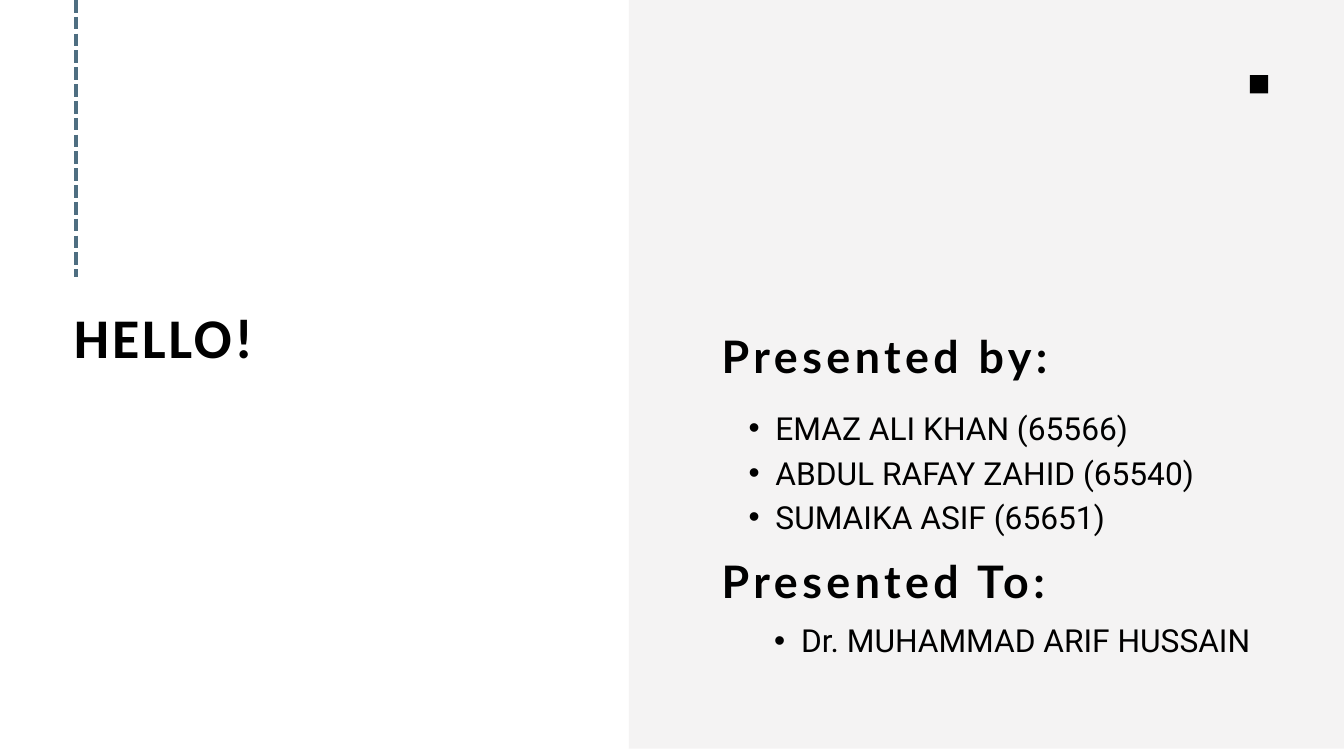
from lxml import etree
from pptx import Presentation
from pptx.dml.color import RGBColor
from pptx.enum.dml import MSO_LINE
from pptx.enum.shapes import MSO_CONNECTOR, MSO_SHAPE
from pptx.enum.text import MSO_AUTO_SIZE, PP_ALIGN
from pptx.oxml.ns import qn
from pptx.util import Inches, Pt

STRAIGHT = MSO_CONNECTOR.STRAIGHT
RECTANGLE = MSO_SHAPE.RECTANGLE
DASH = MSO_LINE.SQUARE_DOT
GROW = MSO_AUTO_SIZE.SHAPE_TO_FIT_TEXT
LEFT, CENTER = PP_ALIGN.LEFT, PP_ALIGN.CENTER

COLUMN_LEFT = 10.74

# (paragraphs, style, (left, top, width, height), alignment)
TEXTS = [
    (["HELLO!"], "title", (1.1, 4.34, 7.65, 1.18), LEFT),
    (["Presented by:"], "heading", (COLUMN_LEFT, 4.63, 9.51, 0.99), LEFT),
    (["EMAZ ALI KHAN (65566)", "ABDUL RAFAY ZAHID (65540)", "SUMAIKA ASIF (65651)"],
     "list", (COLUMN_LEFT, 5.99, 7.49, 1.95), LEFT),
    (["Presented To:"], "heading", (COLUMN_LEFT, 7.98, 9.51, 0.99), LEFT),
    (["Dr. MUHAMMAD ARIF HUSSAIN"], "list", (COLUMN_LEFT, 9.15, 8.25, 0.63), CENTER),
]

PANEL = (9.36, -0.11, 11.25, 11.25)
MARKER = (18.6, 1.12, 0.27, 0.27)
DASHED_LINE = (1.13, 0, 1.13, 4.12)

THEME = {
    "ink": "000000",
    "panel": "F2F1F1",
    "panel_opacity": 80,
    "accent": "4E6E81",
    "line_width": 4.5,
    "bullet_indent": (0.8, -0.4),
    "styles": {
        "title": {"font": "Calibri", "size": 60, "leading": 84, "bold": True, "tracking": 3},
        "heading": {"font": "Lato", "size": 48, "leading": 76.8, "bold": True, "tracking": 4.8},
        "list": {"font": "Roboto", "size": 34, "leading": 47.6, "bold": False, "bullet": "•"},
    },
}


def add_rectangle(slide, box, color, opacity=100):
    shape = slide.shapes.add_shape(RECTANGLE, *map(Inches, box))
    shape.shadow.inherit = False
    shape.line.fill.background()
    shape.fill.solid()
    shape.fill.fore_color.rgb = RGBColor.from_string(color)
    if opacity < 100:
        color_element = shape.fill._xPr.find(".//" + qn("a:srgbClr"))
        etree.SubElement(color_element, qn("a:alpha"), val=str(opacity * 1000))


def add_dashed_line(slide, ends):
    connector = slide.shapes.add_connector(STRAIGHT, *map(Inches, ends))
    connector.line.color.rgb = RGBColor.from_string(THEME["accent"])
    connector.line.width = Pt(THEME["line_width"])
    connector.line.dash_style = DASH
    etree.SubElement(connector._element.spPr, qn("a:effectLst"))


def add_bullet(paragraph, character):
    margin, indent = THEME["bullet_indent"]
    paragraph.level = 1
    properties = paragraph._p.get_or_add_pPr()
    properties.set("marL", str(Inches(margin)))
    properties.set("indent", str(Inches(indent)))
    etree.SubElement(properties, qn("a:buFont"), typeface="Arial")
    etree.SubElement(properties, qn("a:buChar"), char=character)


def format_paragraph(paragraph, style, alignment):
    paragraph.alignment = alignment
    paragraph.line_spacing = Pt(style["leading"])
    if "bullet" in style:
        add_bullet(paragraph, style["bullet"])
    for run in paragraph.runs:
        run.font.name = style["font"]
        run.font.size = Pt(style["size"])
        run.font.bold = style["bold"]
        run.font.color.rgb = RGBColor.from_string(THEME["ink"])
        if "tracking" in style:
            run.font._element.set("spc", str(round(style["tracking"] * 100)))


def add_text(slide, lines, style_name, box, alignment):
    text_frame = slide.shapes.add_textbox(*map(Inches, box)).text_frame
    text_frame.margin_left = text_frame.margin_right = 0
    text_frame.margin_top = text_frame.margin_bottom = 0
    text_frame.word_wrap = True
    text_frame.auto_size = GROW
    text_frame.text = "\n".join(lines)
    for paragraph in text_frame.paragraphs:
        format_paragraph(paragraph, THEME["styles"][style_name], alignment)


def main():
    presentation = Presentation()
    presentation.slide_width = Inches(20)
    presentation.slide_height = Inches(11.25)
    slide = presentation.slides.add_slide(presentation.slide_layouts[6])

    add_dashed_line(slide, DASHED_LINE)
    add_rectangle(slide, PANEL, THEME["panel"], THEME["panel_opacity"])
    add_rectangle(slide, MARKER, THEME["ink"])
    for text in TEXTS:
        add_text(slide, *text)

    presentation.save("out.pptx")


if __name__ == "__main__":
    main()
